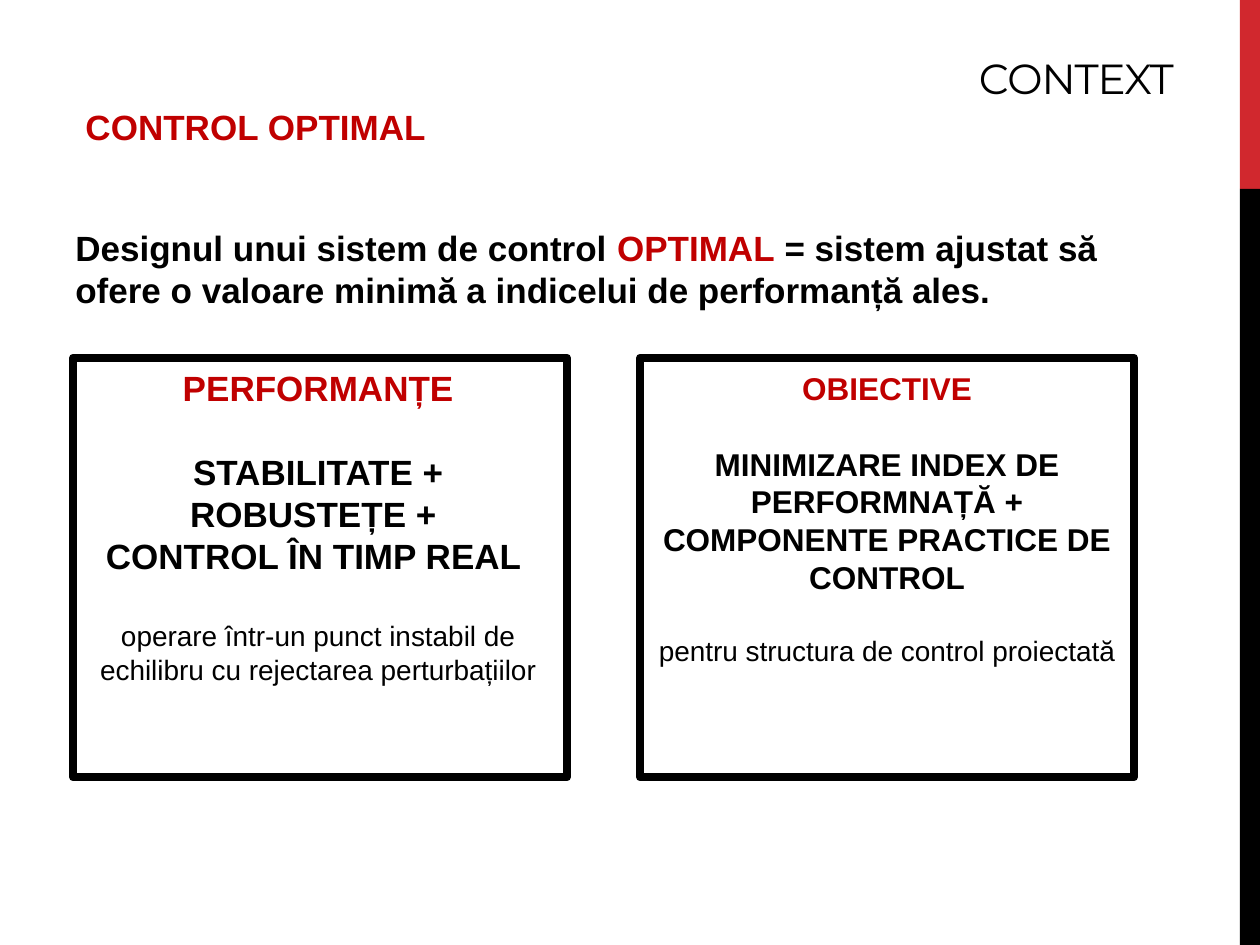
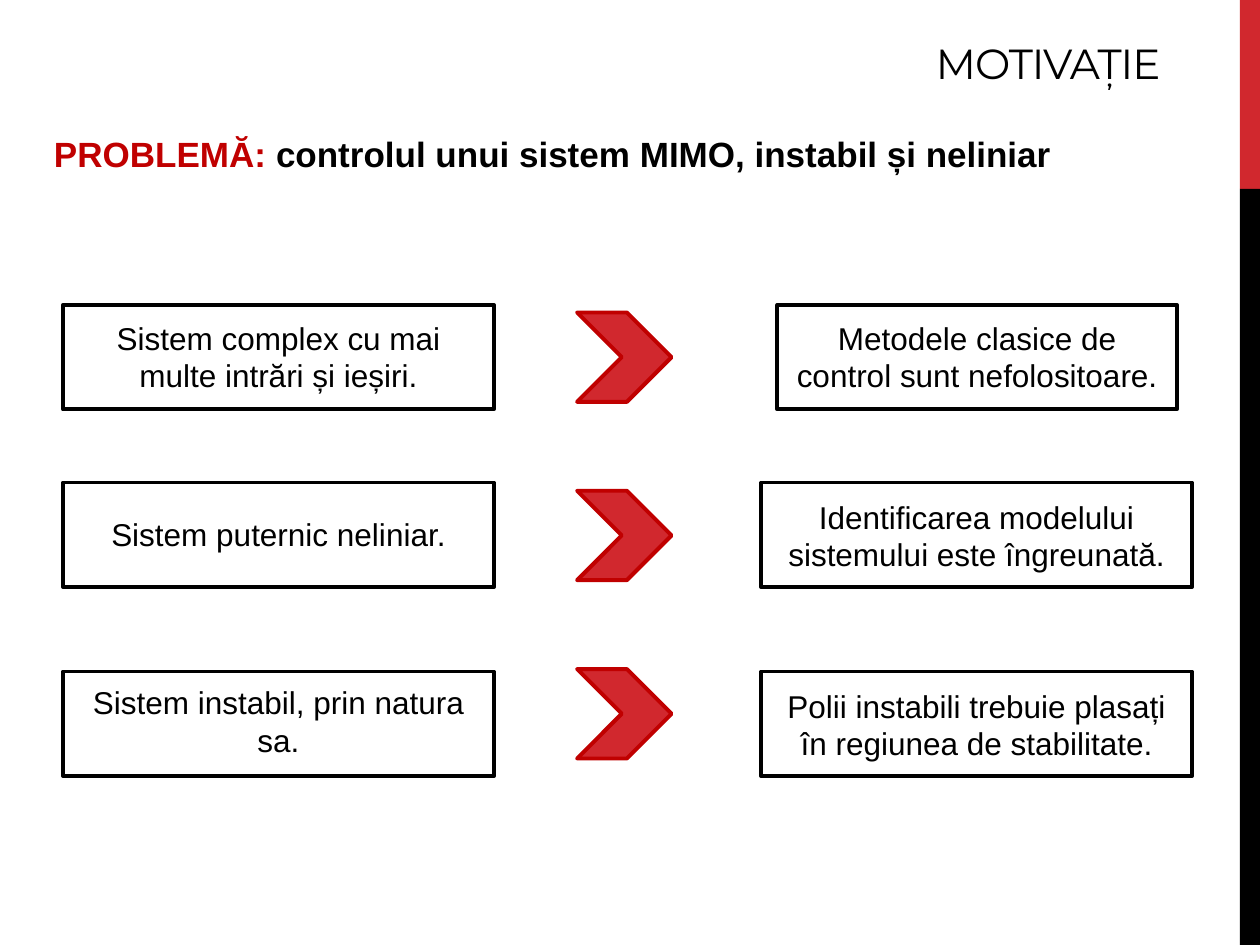
"""Build two slides on optimal control: context and motivation."""
from dataclasses import dataclass

from lxml import etree
from pptx import Presentation
from pptx import util as u
from pptx.dml.color import RGBColor
from pptx.enum import shapes, text
from pptx.oxml import ns

RED, DARK_RED, BLACK = "D1282E", "C00000", "000000"
BODY_FONT, TITLE_FONT = "Arial", "Montserrat"
LEFT, CENTER = text.PP_ALIGN.LEFT, text.PP_ALIGN.CENTER
TOP, BOTTOM = text.MSO_ANCHOR.TOP, text.MSO_ANCHOR.BOTTOM


@dataclass
class Box:
    """A rectangle in inches."""
    left: float
    top: float
    width: float
    height: float

    def lengths(self) -> list:
        """Return the four lengths for python-pptx."""
        return [u.Inches(n) for n in (self.left, self.top, self.width, self.height)]


@dataclass
class Run:
    """A piece of text with one format."""
    words: str
    size: float = 20
    color: str = BLACK
    bold: bool = True
    font: str = BODY_FONT


@dataclass
class Line:
    """A paragraph with the points of space around it."""
    runs: list[Run]
    before: float = 0
    after: float = 0


@dataclass
class Step:
    """A cause, its consequence and their places in one row."""
    cause: str
    effect: str
    frame_top: float
    cause_top: float
    effect_top: float
    effect_left: float = 6.04
    effect_width: float = 3.42


def rgb(value: str) -> RGBColor:
    """Turn a hex string into a colour."""
    return RGBColor.from_string(value)


def apply(target, values: dict) -> None:
    """Set each attribute of the target."""
    for name, value in values.items():
        setattr(target, name, value)


def add_shape(slide, kind, box: Box, fill: str = "", line: str = "", width: float = 0):
    """Add a preset shape; an empty colour means none."""
    shape = slide.shapes.add_shape(kind, *box.lengths())
    shape.shadow.inherit = False
    if fill:
        shape.fill.solid()
        shape.fill.fore_color.rgb = rgb(fill)
    else:
        shape.fill.background()
    if line:
        shape.line.color.rgb = rgb(line)
        shape.line.width = u.Pt(width)
        outline = shape.line.fill._xPr
        etree.SubElement(outline, ns.qn("a:round"))
    else:
        shape.line.fill.background()
    return shape


def add_text(slide, box: Box, lines: list[Line], align=LEFT, anchor=TOP):
    """Add a wrapping text box."""
    shape = slide.shapes.add_textbox(*box.lengths())
    frame = shape.text_frame
    apply(frame, {"word_wrap": True, "vertical_anchor": anchor})
    for index, line in enumerate(lines):
        paragraph = frame.add_paragraph() if index else frame.paragraphs[0]
        apply(paragraph, {"alignment": align, "space_before": u.Pt(line.before),
                          "space_after": u.Pt(line.after)})
        for part in line.runs:
            run = paragraph.add_run()
            run.text = part.words
            apply(run.font, {"size": u.Pt(part.size), "bold": part.bold, "name": part.font})
            run.font.color.rgb = rgb(part.color)
    return shape


def add_statement(slide, box: Box, *runs: Run) -> None:
    """Add a left-aligned bold statement."""
    add_text(slide, box, [Line(list(runs), before=4, after=6)])


def add_slide(presentation, title: str, box: Box):
    """Add a blank slide with the side bands and a title."""
    slide = presentation.slides.add_slide(presentation.slide_layouts[6])
    for top, height, color in ((0, 1.5, RED), (1.5, 6, BLACK)):
        add_shape(slide, shapes.MSO_SHAPE.RECTANGLE, Box(9.84, top, 0.16, height), color)
    heading = Run(title, size=24, bold=False, font=TITLE_FONT)
    shape = add_text(slide, box, [Line([heading])], anchor=BOTTOM)
    properties = shape.text_frame.paragraphs[0].runs[0].font._element
    properties.set("spc", "-60")
    return slide


def add_panel(slide, left: float, text_box: Box, size: float, heading: str,
              demands: list[str], detail: str) -> None:
    """Add a heavy frame with a heading, demands and a detail."""
    gap = size * 1.2
    add_shape(slide, shapes.MSO_SHAPE.RECTANGLE, Box(left, 2.84, 3.92, 3.33),
              line=BLACK, width=4.5)
    lines = [Line([Run(heading, size, DARK_RED)])]
    lines += [Line([Run(demand, size)], before=0 if index else gap)
              for index, demand in enumerate(demands)]
    lines.append(Line([Run(detail, 16, bold=False)], before=gap))
    add_text(slide, text_box, lines, CENTER)


def add_step(slide, step: Step, chevron_top: float) -> None:
    """Add a cause, a chevron and a consequence."""
    sides = ((step.cause, 0.5, 3.42, step.cause_top),
             (step.effect, step.effect_left, step.effect_width, step.effect_top))
    for words, left, width, top in sides:
        add_shape(slide, shapes.MSO_SHAPE.RECTANGLE, Box(left, step.frame_top, width, 0.83),
                  line=BLACK, width=2.25)
        add_text(slide, Box(left, top, width, 0.71),
                 [Line([Run(words, 18, bold=False)])], CENTER)
    add_shape(slide, shapes.MSO_SHAPE.CHEVRON, Box(4.58, chevron_top, 0.75, 0.71),
              RED, DARK_RED, 2.25)


def build_context(presentation) -> None:
    """Build the context slide."""
    slide = add_slide(presentation, "CONTEXT", Box(7.67, 0.04, 2.04, 0.83))
    add_statement(slide, Box(0.58, 0.79, 3.92, 0.75), Run("CONTROL OPTIMAL", color=DARK_RED))
    add_statement(
        slide, Box(0.5, 1.75, 8.33, 1.5),
        Run("Designul unui sistem de control "), Run("OPTIMAL", color=DARK_RED),
        Run(" = sistem ajustat să ofere o valoare minimă a indicelui de performanță ales."))
    add_panel(slide, 0.58, Box(0.55, 2.86, 3.95, 2.66), 20, "PERFORMANȚE",
              ["STABILITATE + ROBUSTEȚE + ", "CONTROL ÎN TIMP REAL "],
              "operare într-un punct instabil de echilibru cu rejectarea perturbațiilor")
    add_panel(slide, 5.08, Box(5.08, 2.88, 3.92, 2.52), 18, "OBIECTIVE",
              ["MINIMIZARE INDEX DE PERFORMNAȚĂ + COMPONENTE PRACTICE DE CONTROL"],
              "pentru structura de control proiectată")


def build_motivation(presentation) -> None:
    """Build the motivation slide."""
    slide = add_slide(presentation, "MOTIVAȚIE", Box(7.33, 0.08, 2.42, 0.67))
    add_statement(slide, Box(0.33, 1, 8.17, 0.67), Run("PROBLEMĂ: ", color=DARK_RED),
                  Run("controlul unui sistem MIMO, instabil și neliniar"))
    steps = [
        Step("Sistem complex cu mai multe intrări și ieșiri.",
             "Metodele clasice de control sunt nefolositoare.", 2.42, 2.48, 2.48, 6.17, 3.17),
        Step("Sistem puternic neliniar.",
             "Identificarea modelului sistemului este îngreunată.", 3.83, 4.04, 3.9),
        Step("Sistem instabil, prin natura sa.",
             "Polii instabili trebuie plasați în regiunea de stabilitate.", 5.33, 5.37, 5.4),
    ]
    for index, step in enumerate(steps):
        add_step(slide, step, 2.48 + index * 1.415)


def main() -> None:
    """Build and save the presentation."""
    presentation = Presentation()
    apply(presentation, {"slide_width": u.Inches(10), "slide_height": u.Inches(7.5)})
    build_context(presentation)
    build_motivation(presentation)
    presentation.save("out.pptx")


main()
